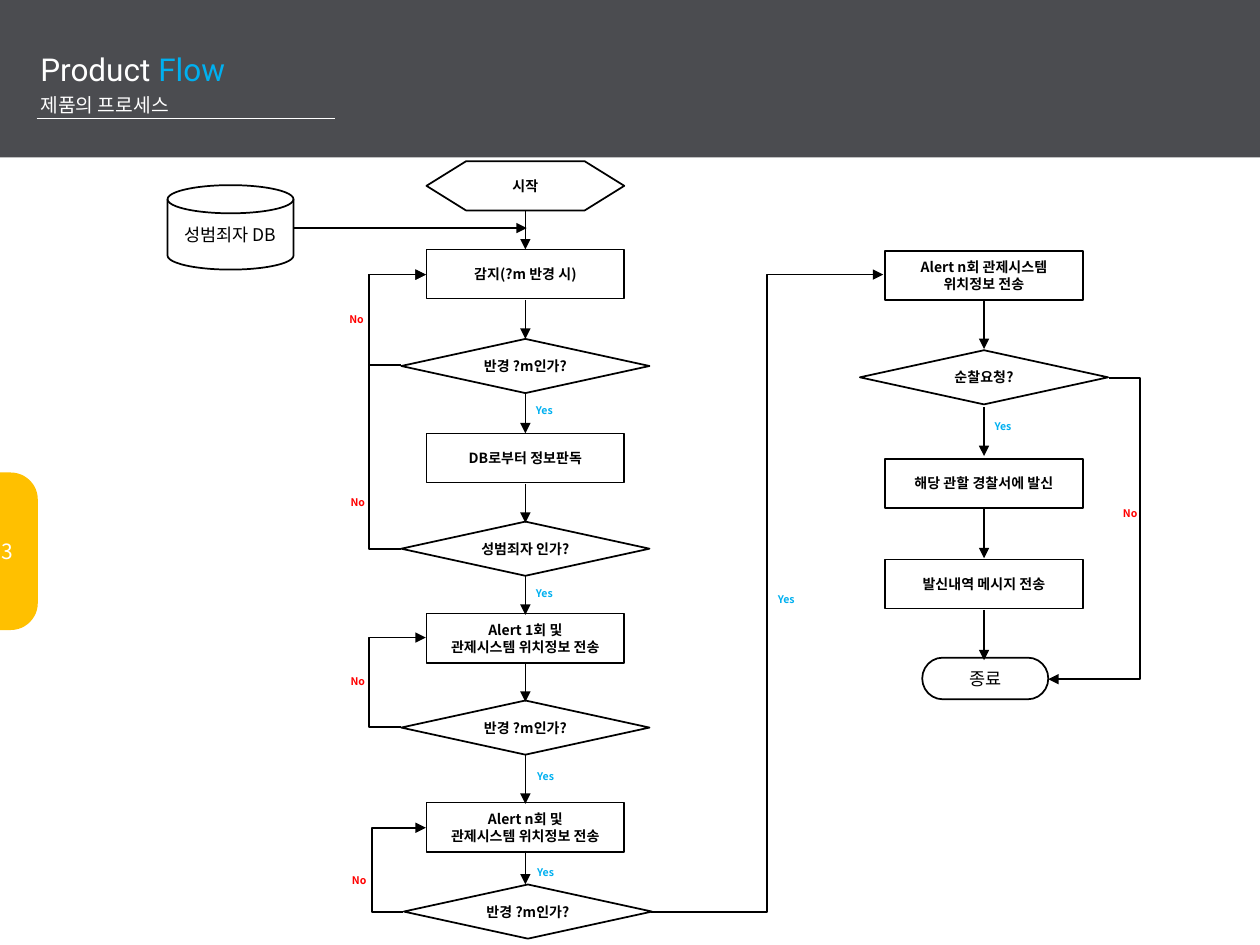
from lxml import etree
from pptx import Presentation
from pptx.dml.color import RGBColor
from pptx.enum import shapes, text
from pptx.oxml.ns import qn
from pptx.util import Inches, Pt

COLORS = {
    "black": "000000", "white": "FFFFFF", "header": "222328",
    "blue": "00B0F0", "red": "FF0000", "amber": "FFC000",
}
KOREAN, LATIN = "Noto Sans CJK KR", "Roboto"
SHAPE, LINE = shapes.MSO_SHAPE, shapes.MSO_CONNECTOR

# kind: (preset, width, height, text size, bold)
NODES = {
    "start": (SHAPE.FLOWCHART_PREPARATION, 1.57, 0.39, 8, True),
    "process": (SHAPE.FLOWCHART_PROCESS, 1.57, 0.39, 8, True),
    "decision": (SHAPE.FLOWCHART_DECISION, 1.97, 0.43, 8, True),
    "database": (SHAPE.FLOWCHART_MAGNETIC_DISK, 1, 0.67, 10, False),
    "end": (SHAPE.FLOWCHART_TERMINATOR, 1, 0.33, 10, False),
}


def rgb(color):
    return RGBColor.from_string(COLORS[color])


def set_font(p, size, color, bold=False, latin=KOREAN):
    f = p.font
    f.size, f.bold, f.name = Pt(size), bold, latin
    f.color.rgb = rgb(color)


def set_east_asian_font(sp):
    for props in sp.element.iter(qn("a:defRPr")):
        etree.SubElement(props, qn("a:ea"), typeface=KOREAN)


class FlowSlide:
    def __init__(self, prs):
        self.slide = prs.slides.add_slide(prs.slide_layouts[5])
        self.shapes = self.slide.shapes

    def fill_text(self, sp, lines, size, color, bold=False):
        tf = sp.text_frame
        tf.word_wrap = True
        tf.vertical_anchor = text.MSO_ANCHOR.MIDDLE
        tf.margin_left = tf.margin_right = Inches(0.05)
        tf.text = lines
        for p in tf.paragraphs:
            p.alignment = text.PP_ALIGN.CENTER
            set_font(p, size, color, bold)
        set_east_asian_font(sp)

    def shape(self, preset, x, y, w, h, fill=None, line=None):
        sp = self.shapes.add_shape(preset, Inches(x), Inches(y), Inches(w), Inches(h))
        sp.shadow.inherit = False
        if fill:
            sp.fill.solid()
            sp.fill.fore_color.rgb = rgb(fill)
        else:
            sp.fill.background()
        if line:
            sp.line.color.rgb = rgb(line)
            sp.line.width = Pt(1)
        else:
            sp.line.fill.background()
        return sp

    def header(self):
        sp = self.shape(SHAPE.RECTANGLE, 0, 0, 10, 1.25, fill="header")
        color = sp.element.spPr.find(f"{qn('a:solidFill')}/{qn('a:srgbClr')}")
        etree.SubElement(color, qn("a:alpha"), val="81000")

    def title(self, parts, subtitle):
        sp = self.shapes.title
        sp.left, sp.top, sp.width, sp.height = map(Inches, (0.3, 0.3, 1.55, 0.64))
        tf = sp.text_frame
        tf.word_wrap = False
        tf.auto_size = text.MSO_AUTO_SIZE.SHAPE_TO_FIT_TEXT
        tf.vertical_anchor = text.MSO_ANCHOR.BOTTOM
        tf.margin_left = tf.margin_right = tf.margin_top = tf.margin_bottom = Inches(0.02)
        head, sub = tf.paragraphs[0], tf.add_paragraph()
        for words, color in parts:
            r = head.add_run()
            r.text = words
            r.font.color.rgb = rgb(color)
        sub.text = subtitle
        for p, size in ((head, 18), (sub, 11)):
            p.alignment = text.PP_ALIGN.LEFT
            p.line_spacing = 1.2
            p.space_before = Pt(0)
            set_font(p, size, "white", latin=LATIN)
        set_east_asian_font(sp)
        sp.element.getparent().append(sp.element)  # in front of the header band

    def page_tab(self, number):
        sp = self.shape(SHAPE.ROUNDED_RECTANGLE, -0.25, 3.75, 0.55, 1.25, fill="amber")
        sp.adjustments[0] = 0.39
        self.fill_text(sp, number, 12, "white")
        sp.text_frame.margin_left = Inches(0.12)

    def node(self, kind, cx, top, lines):
        preset, w, h, size, bold = NODES[kind]
        sp = self.shape(preset, cx - w / 2, top, w, h, line="black")
        self.fill_text(sp, lines, size, "black", bold)

    def label(self, answer, cx, top):
        sp = self.shapes.add_textbox(Inches(cx - 0.51), Inches(top), Inches(1.02), Inches(0.23))
        self.fill_text(sp, answer, 6, "blue" if answer == "Yes" else "red", True)

    def line(self, x1, y1, x2, y2, kind=LINE.STRAIGHT, color="black", width=1, arrow=True):
        c = self.shapes.add_connector(kind, Inches(x1), Inches(y1), Inches(x2), Inches(y2))
        c.line.color.rgb = rgb(color)
        c.line.width = Pt(width)
        if arrow:
            etree.SubElement(c.element.spPr.find(qn("a:ln")), qn("a:tailEnd"), type="triangle")
        etree.SubElement(c.element.spPr, qn("a:effectLst"))
        return c

    def elbow(self, x1, y1, x2, y2, via_x):
        """Horizontal-vertical-horizontal arrow whose upright runs at via_x."""
        c = self.line(x1, y1, x2, y2, LINE.ELBOW)
        geometry = c.element.spPr.find(qn("a:prstGeom"))
        guides = geometry.find(qn("a:avLst"))
        if guides is None:
            guides = etree.SubElement(geometry, qn("a:avLst"))
        bend = round((via_x - x1) / (x2 - x1) * 100000)
        etree.SubElement(guides, qn("a:gd"), name="adj1", fmla=f"val {bend}")


def main():
    prs = Presentation()
    prs.slide_width, prs.slide_height = Inches(10), Inches(7.5)
    s = FlowSlide(prs)
    s.header()
    s.title([("Product ", "white"), ("Flow", "blue")], "제품의 프로세스")
    s.line(0.29, 0.94, 2.66, 0.94, color="white", width=0.25, arrow=False)
    s.page_tab("3")

    left, right = 4.17, 7.81
    for node in (
        ("database", 1.83, 1.47, "성범죄자 DB"),
        ("start", left, 1.28, "시작"),
        ("process", left, 1.98, "감지(?m 반경 시)"),
        ("decision", left, 2.69, "반경 ?m인가?"),
        ("process", left, 3.44, "DB로부터 정보판독"),
        ("decision", left, 4.14, "성범죄자 인가?"),
        ("process", left, 4.87, "Alert 1회 및\n관제시스템 위치정보 전송"),
        ("decision", left, 5.56, "반경 ?m인가?"),
        ("process", left, 6.37, "Alert n회 및\n관제시스템 위치정보 전송"),
        ("decision", 4.19, 7.02, "반경 ?m인가?"),
        ("process", right, 1.99, "Alert n회 관제시스템\n위치정보 전송"),
        ("decision", right, 2.78, "순찰요청?"),
        ("process", right, 3.64, "해당 관할 경찰서에 발신"),
        ("process", right, 4.44, "발신내역 메시지 전송"),
        ("end", 7.82, 5.22, "종료"),
    ):
        s.node(*node)

    down_arrows = {
        left: [(1.67, 1.98), (2.38, 2.69), (3.12, 3.44), (3.84, 4.15), (4.56, 4.88),
               (5.26, 5.57), (5.99, 6.38), (6.75, 7.02)],
        right: [(2.38, 2.77), (3.23, 3.62), (4.04, 4.43), (4.84, 5.24)],
    }
    for x, spans in down_arrows.items():
        for top, bottom in spans:
            s.line(x, top, x, bottom)
    s.line(2.33, 1.81, 4.18, 1.81)

    for start_y, end_y in ((2.9, 2.18), (4.36, 2.18), (5.77, 5.06)):
        s.elbow(3.18, start_y, 3.38, end_y, 2.93)
    s.elbow(3.2, 7.24, 3.38, 6.57, 2.95)
    s.elbow(5.17, 7.24, 7.01, 2.18, 6.09)
    s.elbow(8.8, 3, 8.32, 5.39, 9.05)

    for answer, places in {
        "Yes": [(4.32, 3.14), (4.32, 4.59), (4.33, 6.05), (4.33, 6.81), (6.24, 4.64), (7.96, 3.27)],
        "No": [(2.83, 2.42), (2.84, 3.87), (2.84, 5.29), (2.85, 6.87), (8.97, 3.96)],
    }.items():
        for cx, top in places:
            s.label(answer, cx, top)

    prs.save("out.pptx")


if __name__ == "__main__":
    main()
